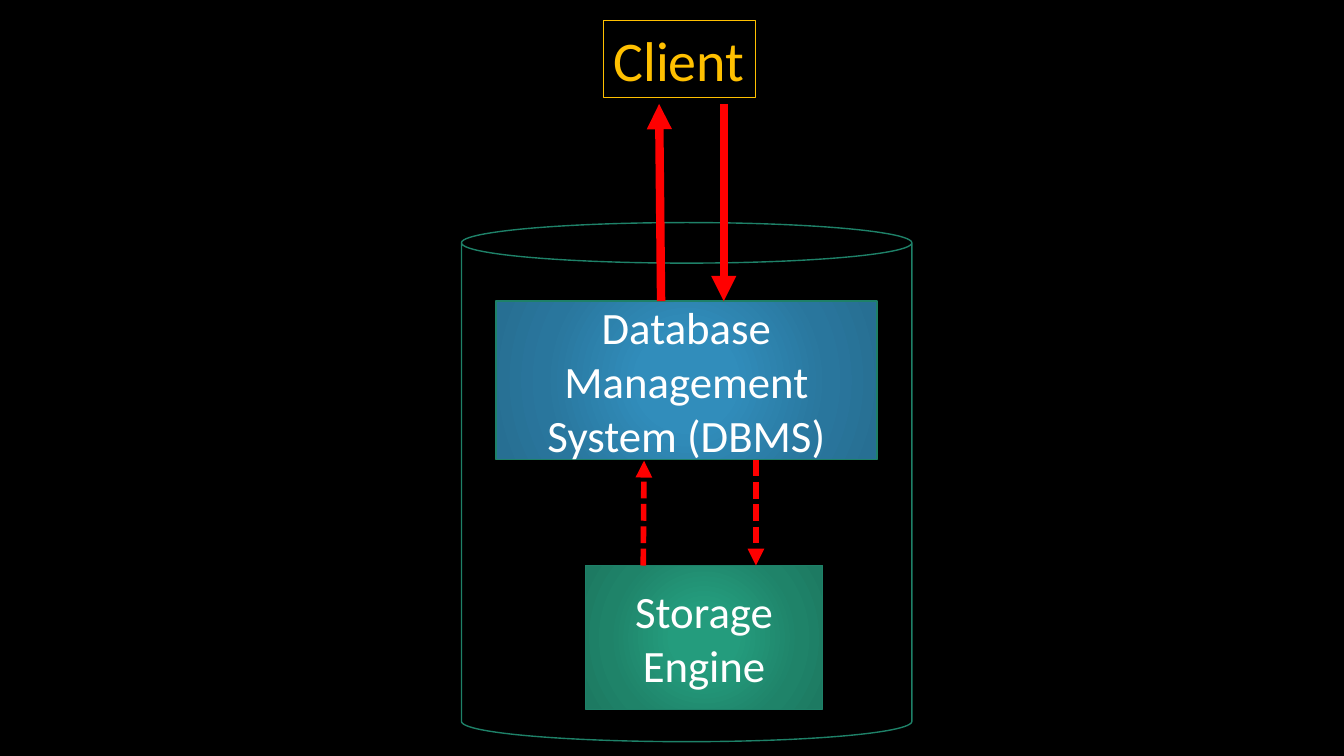
from dataclasses import dataclass

from lxml import etree
from pptx import Presentation
from pptx.dml.color import RGBColor
from pptx.enum.dml import MSO_LINE
from pptx.enum.shapes import MSO_CONNECTOR, MSO_SHAPE
from pptx.enum.text import MSO_ANCHOR, MSO_AUTO_SIZE, PP_ALIGN
from pptx.oxml.ns import qn
from pptx.shapes.autoshape import Shape
from pptx.slide import Slide
from pptx.util import Cm, Pt

RECT, CAN = MSO_SHAPE.RECTANGLE, MSO_SHAPE.CAN
STRAIGHT, DASH = MSO_CONNECTOR.STRAIGHT, MSO_LINE.SQUARE_DOT
LEFT, CENTER = PP_ALIGN.LEFT, PP_ALIGN.CENTER
TOP, MIDDLE = MSO_ANCHOR.TOP, MSO_ANCHOR.MIDDLE
FIT_SHAPE, NO_FIT = MSO_AUTO_SIZE.SHAPE_TO_FIT_TEXT, MSO_AUTO_SIZE.NONE


@dataclass(frozen=True)
class Theme:
    font: str = "Calibri"
    black: str = "000000"
    white: str = "FFFFFF"
    amber: str = "FFC000"
    red: str = "FF0000"
    green: str = "1E8168"
    blue_glow: tuple[str, ...] = ("318DBB", "318DBB", "29769D", "276F93")
    green_glow: tuple[str, ...] = ("249C7D", "249C7D", "1F8369", "1D7A62")
    glow_stops: tuple[int, ...] = (0, 23, 69, 97)
    client_size: int = 40
    part_size: int = 32


@dataclass(frozen=True)
class Box:
    left: float
    top: float
    width: float
    height: float


@dataclass(frozen=True)
class Part:
    box: Box
    text: str
    glow: tuple[str, ...]


@dataclass(frozen=True)
class Arrow:
    x1: float
    y1: float
    x2: float
    y2: float
    width: float
    dashed: bool = False


THEME = Theme()
CLIENT = Box(15.21, 0.51, 3.84, 1.96)
DATABASE = Box(11.63, 5.61, 11.35, 13.08)
PARTS = [
    Part(Box(12.5, 7.59, 9.6, 3.99), "Database Management System (DBMS)", THEME.blue_glow),
    Part(Box(14.76, 14.25, 5.97, 3.63), "Storage Engine", THEME.green_glow),
]
ENGINE_ARROWS = [
    Arrow(19.05, 11.58, 19.05, 14.25, 4, dashed=True),
    Arrow(16.21, 14.25, 16.23, 11.61, 4, dashed=True),
]
CLIENT_ARROWS = [
    Arrow(18.24, 2.62, 18.24, 7.59, 6),
    Arrow(16.66, 7.59, 16.61, 2.62, 6),
]


def rgb(color: str) -> RGBColor:
    return RGBColor.from_string(color)


def add_outline(s: Slide, kind: MSO_SHAPE, box: Box, color: str, width: float) -> Shape:
    sp = s.shapes.add_shape(kind, Cm(box.left), Cm(box.top), Cm(box.width), Cm(box.height))
    sp.shadow.inherit = False
    sp.fill.background()
    sp.line.color.rgb = rgb(color)
    sp.line.width = Pt(width)
    return sp


def fill_glow(sp: Shape, colors: tuple[str, ...]) -> None:
    spPr = sp._element.spPr
    grad = etree.Element(qn("a:gradFill"), rotWithShape="1")
    stops = etree.SubElement(grad, qn("a:gsLst"))
    for pos, color in zip(THEME.glow_stops, colors):
        stop = etree.SubElement(stops, qn("a:gs"), pos=str(pos * 1000))
        etree.SubElement(stop, qn("a:srgbClr"), val=color)
    glow = etree.SubElement(grad, qn("a:path"), path="circle")
    etree.SubElement(glow, qn("a:fillToRect"), l="50000", t="50000", r="50000", b="50000")
    spPr.replace(spPr.find(qn("a:noFill")), grad)


def set_text(sp: Shape, text: str, *, size: float, color: str, align: PP_ALIGN = CENTER,
             anchor: MSO_ANCHOR = MIDDLE, wrap: bool = True,
             fit: MSO_AUTO_SIZE = NO_FIT) -> None:
    tf = sp.text_frame
    tf.word_wrap = wrap
    tf.auto_size = fit
    tf.vertical_anchor = anchor
    p = tf.paragraphs[0]
    p.alignment = align
    r = p.add_run()
    r.text = text
    r.font.name = THEME.font
    r.font.size = Pt(size)
    r.font.color.rgb = rgb(color)


def add_arrow(s: Slide, arrow: Arrow) -> None:
    cxn = s.shapes.add_connector(STRAIGHT, Cm(arrow.x1), Cm(arrow.y1), Cm(arrow.x2), Cm(arrow.y2))
    cxn.line.color.rgb = rgb(THEME.red)
    cxn.line.width = Pt(arrow.width)
    if arrow.dashed:
        cxn.line.dash_style = DASH
    etree.SubElement(cxn.line._get_or_add_ln(), qn("a:tailEnd"), type="triangle")
    etree.SubElement(cxn._element.spPr, qn("a:effectLst"))


def main() -> None:
    prs = Presentation()
    prs.slide_width, prs.slide_height = Cm(33.87), Cm(19.05)
    s = prs.slides.add_slide(prs.slide_layouts[6])
    s.background.fill.solid()
    s.background.fill.fore_color.rgb = rgb(THEME.black)

    for part in PARTS:
        sp = add_outline(s, RECT, part.box, THEME.green, 1)
        fill_glow(sp, part.glow)
        set_text(sp, part.text, size=THEME.part_size, color=THEME.white)
    for arrow in ENGINE_ARROWS:
        add_arrow(s, arrow)

    client = add_outline(s, RECT, CLIENT, THEME.amber, 0.75)
    client.fill.solid()
    client.fill.fore_color.rgb = rgb(THEME.black)
    set_text(client, "Client", size=THEME.client_size, color=THEME.amber,
             align=LEFT, anchor=TOP, wrap=False, fit=FIT_SHAPE)

    database = add_outline(s, CAN, DATABASE, THEME.green, 1)
    database.adjustments[0] = 0.09
    for arrow in CLIENT_ARROWS:
        add_arrow(s, arrow)

    prs.save("out.pptx")


if __name__ == "__main__":
    main()
